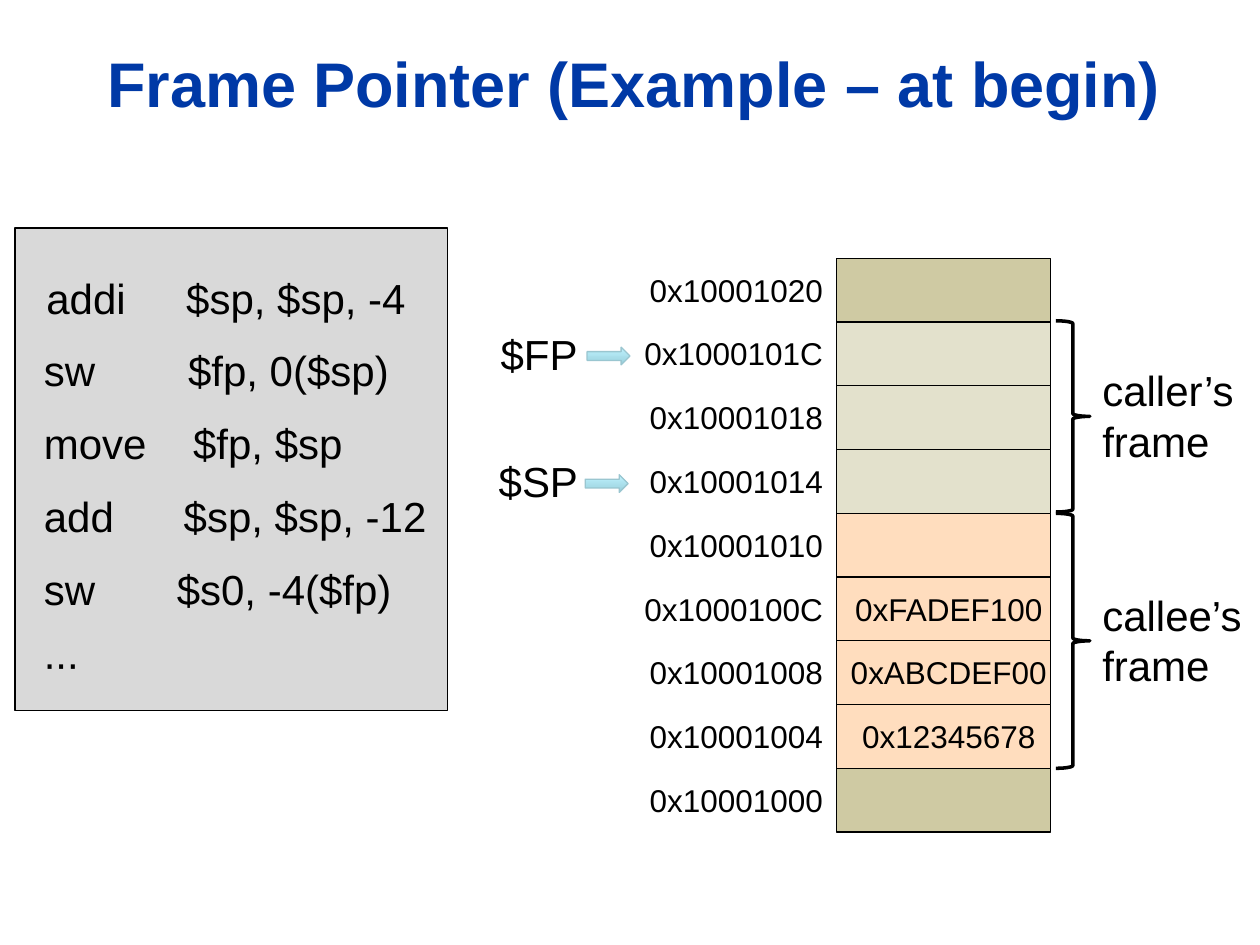
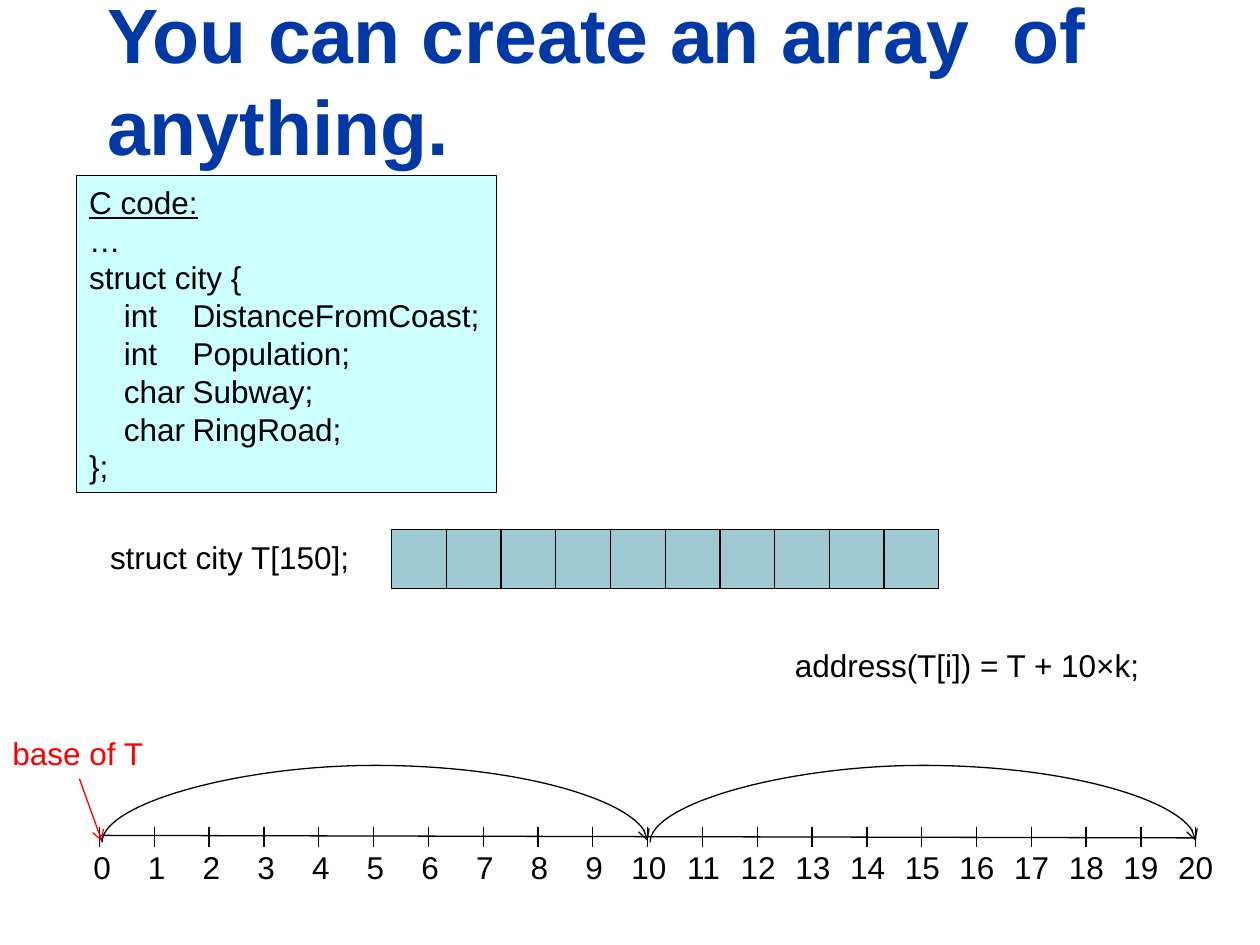
from dataclasses import dataclass

from pptx import Presentation
from pptx.dml.color import RGBColor
from pptx.enum.shapes import MSO_CONNECTOR, MSO_SHAPE
from pptx.enum.text import MSO_ANCHOR, MSO_AUTO_SIZE, PP_ALIGN
from pptx.oxml.ns import qn
from pptx.util import Emu, Inches, Pt
from lxml.etree import SubElement


@dataclass(frozen=True)
class Theme:
    font: str = "Arial"
    title: str = "0039A6"
    ink: str = "000000"
    accent: str = "FF0000"
    code_gray: str = "D9D9D9"
    code_cyan: str = "CCFFFF"
    unused: str = "CFCAA3"
    caller: str = "E3E1CC"
    callee: str = "FFDDBE"
    array: str = "9FCAD3"
    arrow: tuple = ("97CFDB", "C1F3FF")
    arrow_edge: str = "9AC6D0"
    small: int = 18
    large: int = 24
    hairline: float = 0.75
    brace: float = 2


T = Theme()

# The slide is a grid of 100 columns by 75 rows
SLIDE_W, SLIDE_H = Inches(10), Inches(7.5)
COLUMNS = 100


def grid(*counts):
    return [Emu(round(n * SLIDE_W / COLUMNS)) for n in counts]


def rgb(code):
    return RGBColor.from_string(code)


# Text
def add_run(p, text, size, color=T.ink, bold=False, underline=False):
    r = p.add_run()
    r.text = text
    r.font.name, r.font.size = T.font, Pt(size)
    r.font.bold, r.font.underline = bold, underline
    r.font.color.rgb = rgb(color)


def set_tabs(p, stops):
    tabs = SubElement(p._p.get_or_add_pPr(), qn("a:tabLst"))
    for stop in grid(*stops):
        SubElement(tabs, qn("a:tab"), pos=str(stop), algn="l")


def write_lines(tf, lines, size, color=T.ink, align=PP_ALIGN.LEFT, tabs=()):
    tf.word_wrap = True
    for i, line in enumerate(lines):
        p = tf.paragraphs[0] if i == 0 else tf.add_paragraph()
        p.alignment = align
        if tabs:
            set_tabs(p, tabs)
        add_run(p, line, size, color, underline=line == "C code:")


def add_text(s, at, lines, size=T.small, **style):
    tf = s.shapes.add_textbox(*grid(*at)).text_frame
    write_lines(tf, lines, size, **style)


def add_titled_slide(prs, title, at, size):
    s = prs.slides.add_slide(prs.slide_layouts[5])
    sp = s.shapes.title
    sp.left, sp.top, sp.width, sp.height = grid(*at)
    tf = sp.text_frame
    tf.auto_size = MSO_AUTO_SIZE.NONE
    tf.vertical_anchor = MSO_ANCHOR.BOTTOM
    tf.word_wrap = True
    p = tf.paragraphs[0]
    p.alignment = PP_ALIGN.LEFT
    add_run(p, title, size, T.title, bold=True)
    return s


# Shapes and lines
def add_shape(s, kind, at, fill=None, line=T.ink, width=T.hairline):
    sp = s.shapes.add_shape(kind, *grid(*at))
    sp.shadow.inherit = False
    if fill:
        sp.fill.solid()
        sp.fill.fore_color.rgb = rgb(fill)
    else:
        sp.fill.background()
    sp.line.color.rgb = rgb(line)
    sp.line.width = Pt(width)
    return sp


def add_box(s, at, fill):
    return add_shape(s, MSO_SHAPE.RECTANGLE, at, fill)


def add_line(s, start, end, color=T.ink, kind=MSO_CONNECTOR.STRAIGHT, arrow=False):
    c = s.shapes.add_connector(kind, *grid(*start, *end))
    c.line.color.rgb = rgb(color)
    c.line.width = Pt(T.hairline)
    if arrow:
        SubElement(c.line._get_or_add_ln(), qn("a:tailEnd"), type="arrow")
    SubElement(c._element.spPr, qn("a:effectLst"))
    return c


def add_jump(s, left, right, base, rise):
    """Arched arrow: an S connector turned upright, its bend pushed far out."""
    span, thin = right - left, 0.1
    c = add_line(s, (left, base), (right, base), kind=MSO_CONNECTOR.CURVE, arrow=True)
    c.left, c.top, c.width, c.height = grid(
        (left + right - thin) / 2, base - span / 2, thin, span)
    xfrm = c._element.spPr.find(qn("a:xfrm"))
    for name, value in (("rot", "5400000"), ("flipH", "1"), ("flipV", "1")):
        xfrm.set(name, value)
    guides = c._element.spPr.find(qn("a:prstGeom")).find(qn("a:avLst"))
    bend = round(rise / thin * 100000)
    SubElement(guides, qn("a:gd"), name="adj1", fmla=f"val {bend}")


def add_pointer(s, name, left, top):
    add_text(s, (left, top, 8.6, 5), [name], T.large)
    sp = add_shape(s, MSO_SHAPE.RIGHT_ARROW, (left + 7.85, top + 2, 3.4, 1.4),
                   T.arrow[0], T.arrow_edge)
    sp.fill.gradient()
    sp.fill.gradient_angle = 90
    for stop, color in zip(sp.fill.gradient_stops, T.arrow):
        stop.color.rgb = rgb(color)


def add_frame_brace(s, owner, top, height):
    add_shape(s, MSO_SHAPE.RIGHT_BRACE, (83.8, top, 2.7, height), width=T.brace)
    add_text(s, (86.5, top + height / 2 - 4.6, 13.4, 9.1), [owner, "frame"], T.large)


# Slide 1
def build_frame_pointer(prs):
    s = add_titled_slide(prs, "Frame Pointer (Example – at begin)",
                         (7.5, 2.9, 90.3, 7.1), 36)

    # Assembly listing: each line and the column of its operands
    add_box(s, (1.2, 18.1, 34.3, 38.3), T.code_gray)
    listing = [("addi\t$sp, $sp, -4", 11.1), ("sw\t$fp, 0($sp)", 11.45),
               ("move\t$fp, $sp", 11.85), ("add\t$sp, $sp, -12", 11.1),
               ("sw\t$s0, -4($fp)", 10.55), ("∙∙∙", 11.1)]
    for i, (line, operands) in enumerate(listing):
        left = 2.7 if i == 0 else 2.5
        add_text(s, (left, 21.1 + 5.78 * i, 33, 5), [line], T.large, tabs=[operands])

    # Memory, from the highest address down
    top, row = 20.5, 5.06
    memory = [("0x10001020", T.unused, ""), ("0x1000101C", T.caller, ""),
              ("0x10001018", T.caller, ""), ("0x10001014", T.caller, ""),
              ("0x10001010", T.callee, ""), ("0x1000100C", T.callee, "0xFADEF100"),
              ("0x10001008", T.callee, "0xABCDEF00"),
              ("0x10001004", T.callee, "0x12345678"), ("0x10001000", T.unused, "")]
    for i, (address, fill, value) in enumerate(memory):
        y = top + row * i
        add_box(s, (66.4, y, 17, row), fill)
        add_text(s, (49, y + 0.5, 17.3, 4), [address], align=PP_ALIGN.RIGHT)
        if value:
            add_text(s, (66.2, y + 0.5, 18.2, 4), [value], align=PP_ALIGN.CENTER)

    add_pointer(s, "$FP", 38.75, top + row)
    add_pointer(s, "$SP", 38.6, top + 3 * row)
    add_frame_brace(s, "caller’s", top + row - 0.1, 3 * row)
    add_frame_brace(s, "callee’s", top + 4 * row, 4 * row)


# Slide 2
def build_array(prs):
    s = add_titled_slide(prs, "You can create an array  of anything.",
                         (7.5, -1.7, 90.3, 15.8), 44)

    # Declaration of the structure
    tf = add_box(s, (6.1, 13.9, 33.3, 25.2), T.code_cyan).text_frame
    tf.vertical_anchor = MSO_ANCHOR.MIDDLE
    write_lines(tf, ["C code:", "…", "struct city {", "\tint\tDistanceFromCoast;",
                     "\tint\tPopulation;", "\tchar\tSubway;", "\tchar\tRingRoad;",
                     "};"], T.small, tabs=[2.75, 8.2])

    # Array of ten cells
    add_text(s, (7.75, 42.2, 22, 4), ["struct city T[150];"])
    for k in range(10):
        add_box(s, (31.1 + 4.34 * k, 42, 4.34, 4.7), T.array)
    add_text(s, (62.1, 50.8, 30, 4), ["address(T[i]) = T + 10×k;"])

    # Address axis
    origin, step = 7.9, 4.35
    add_line(s, (origin, 66.3), (origin + 20 * step, 66.5))
    for k in range(21):
        x = origin + step * k
        add_line(s, (x, 65.6), (x, 67.2))
        add_text(s, (8.1 + 4.34 * k - 3, 66.8, 6, 4), [str(k)], align=PP_ALIGN.CENTER)

    # Base pointer and jumps of one element
    add_text(s, (0, 57.8, 13, 4), ["base of T"], color=T.accent)
    add_line(s, (6.3, 61.8), (8.1, 66.8), T.accent, arrow=True)
    for k in (0, 10):
        add_jump(s, origin + step * k + 0.2, origin + step * (k + 10), 66.8, 6.2)


def main():
    prs = Presentation()
    prs.slide_width, prs.slide_height = SLIDE_W, SLIDE_H
    build_frame_pointer(prs)
    build_array(prs)
    prs.save("out.pptx")


if __name__ == "__main__":
    main()
